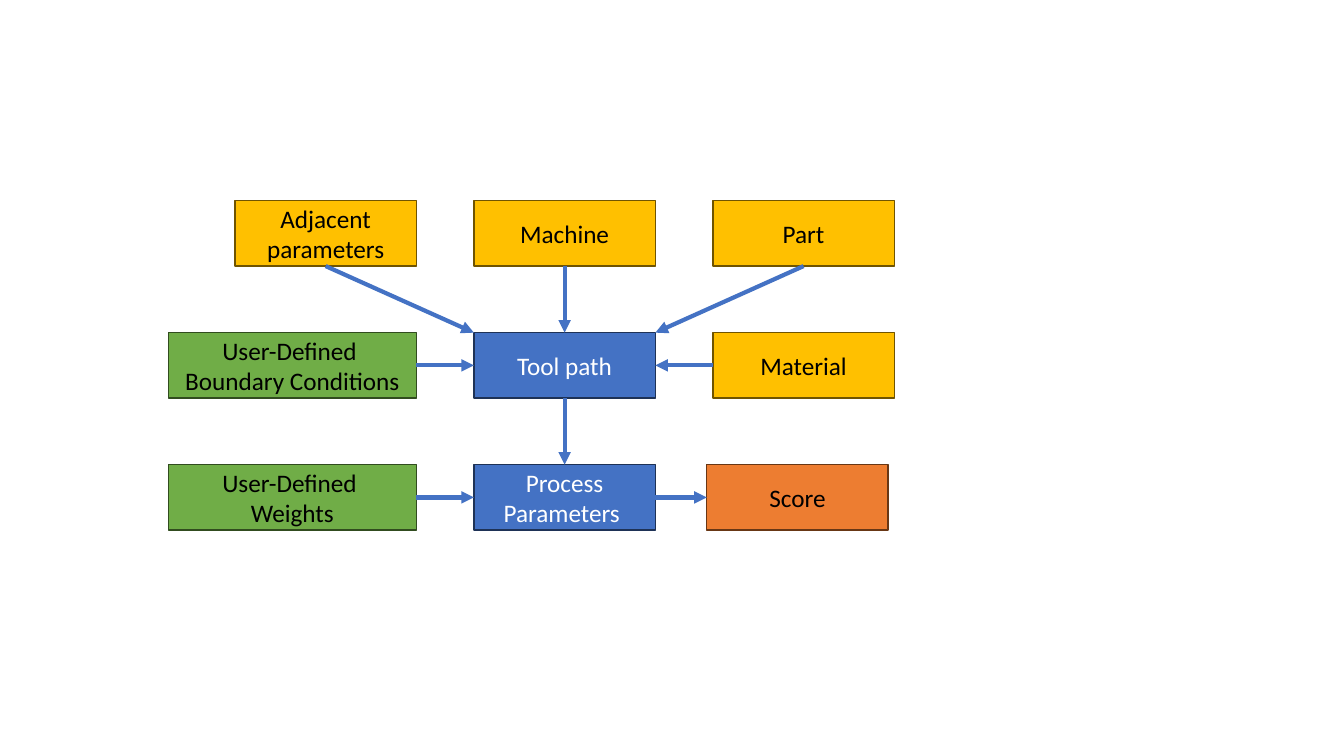
from lxml import etree
from pptx import Presentation, util as u
from pptx.dml.color import RGBColor
from pptx.enum import shapes, text
from pptx.oxml.ns import qn

GOLD = RGBColor(0xFF, 0xC0, 0x00)
BROWN = RGBColor(0x70, 0x54, 0x00)
BLUE = RGBColor(0x44, 0x72, 0xC4)
NAVY = RGBColor(0x1E, 0x32, 0x56)
GREEN = RGBColor(0x70, 0xAD, 0x47)
MOSS = RGBColor(0x31, 0x4C, 0x1F)
RUST = RGBColor(0xED, 0x7D, 0x31)
UMBER = RGBColor(0x68, 0x37, 0x15)
BLACK = RGBColor(0x00, 0x00, 0x00)
WHITE = RGBColor(0xFF, 0xFF, 0xFF)

INPUT = (GOLD, BROWN, BLACK)
STEP = (BLUE, NAVY, WHITE)
USER = (GREEN, MOSS, BLACK)
RESULT = (RUST, UMBER, BLACK)

TOP, BOTTOM, LEFT, RIGHT = (0.5, 0), (0.5, 1), (0, 0.5), (1, 0.5)
TOP_LEFT, TOP_RIGHT = (0, 0), (1, 0)


class Chart:
    font, size = "Calibri", 18
    left, top = 2.33, 1.99
    step_x, step_y = 2.37, 1.31
    width, height, wide = 1.8, 0.65, 2.46

    def __init__(self, slide):
        self.items = slide.shapes

    def box(self, col, row, style, *lines, wide=False, shift=0):
        fill, edge, ink = style
        width = self.wide if wide else self.width
        x = self.left + col * self.step_x + self.width - width + shift
        y = self.top + row * self.step_y
        box = self.items.add_shape(
            shapes.MSO_SHAPE.RECTANGLE,
            u.Inches(x), u.Inches(y), u.Inches(width), u.Inches(self.height))
        box.shadow.inherit = False
        box.fill.solid()
        box.fill.fore_color.rgb = fill
        box.line.color.rgb = edge
        box.line.width = u.Pt(1)
        frame = box.text_frame
        frame.word_wrap = True
        frame.vertical_anchor = text.MSO_ANCHOR.MIDDLE
        for i, line in enumerate(lines):
            para = frame.add_paragraph() if i else frame.paragraphs[0]
            para.alignment = text.PP_ALIGN.CENTER
            run = para.add_run()
            run.text = line
            run.font.name = self.font
            run.font.size = u.Pt(self.size)
            run.font.color.rgb = ink
        return box

    def spot(self, box, side):
        return (box.left + int(box.width * side[0]),
                box.top + int(box.height * side[1]))

    def arrow(self, start, out, end, into):
        line = self.items.add_connector(
            shapes.MSO_CONNECTOR.STRAIGHT,
            *self.spot(start, out), *self.spot(end, into))
        line.line.color.rgb = BLUE
        line.line.width = u.Pt(3)
        etree.SubElement(line.line._get_or_add_ln(), qn("a:tailEnd"), type="triangle")
        etree.SubElement(line._element.spPr, qn("a:effectLst"))


def main():
    deck = Presentation()
    deck.slide_width, deck.slide_height = u.Inches(13.33), u.Inches(7.5)
    flow = Chart(deck.slides.add_slide(deck.slide_layouts[6]))

    near = flow.box(0, 0, INPUT, "Adjacent parameters")
    mill = flow.box(1, 0, INPUT, "Machine")
    part = flow.box(2, 0, INPUT, "Part")
    bounds = flow.box(0, 1, USER, "User-Defined ", "Boundary Conditions", wide=True)
    tool = flow.box(1, 1, STEP, "Tool path")
    stuff = flow.box(2, 1, INPUT, "Material")
    weights = flow.box(0, 2, USER, "User-Defined ", "Weights", wide=True)
    process = flow.box(1, 2, STEP, "Process Parameters ")
    score = flow.box(2, 2, RESULT, "Score", shift=-0.06)

    for link in (
        (near, BOTTOM, tool, TOP_LEFT),
        (mill, BOTTOM, tool, TOP),
        (part, BOTTOM, tool, TOP_RIGHT),
        (bounds, RIGHT, tool, LEFT),
        (stuff, LEFT, tool, RIGHT),
        (tool, BOTTOM, process, TOP),
        (weights, RIGHT, process, LEFT),
        (process, RIGHT, score, LEFT),
    ):
        flow.arrow(*link)

    deck.save("out.pptx")


if __name__ == "__main__":
    main()
